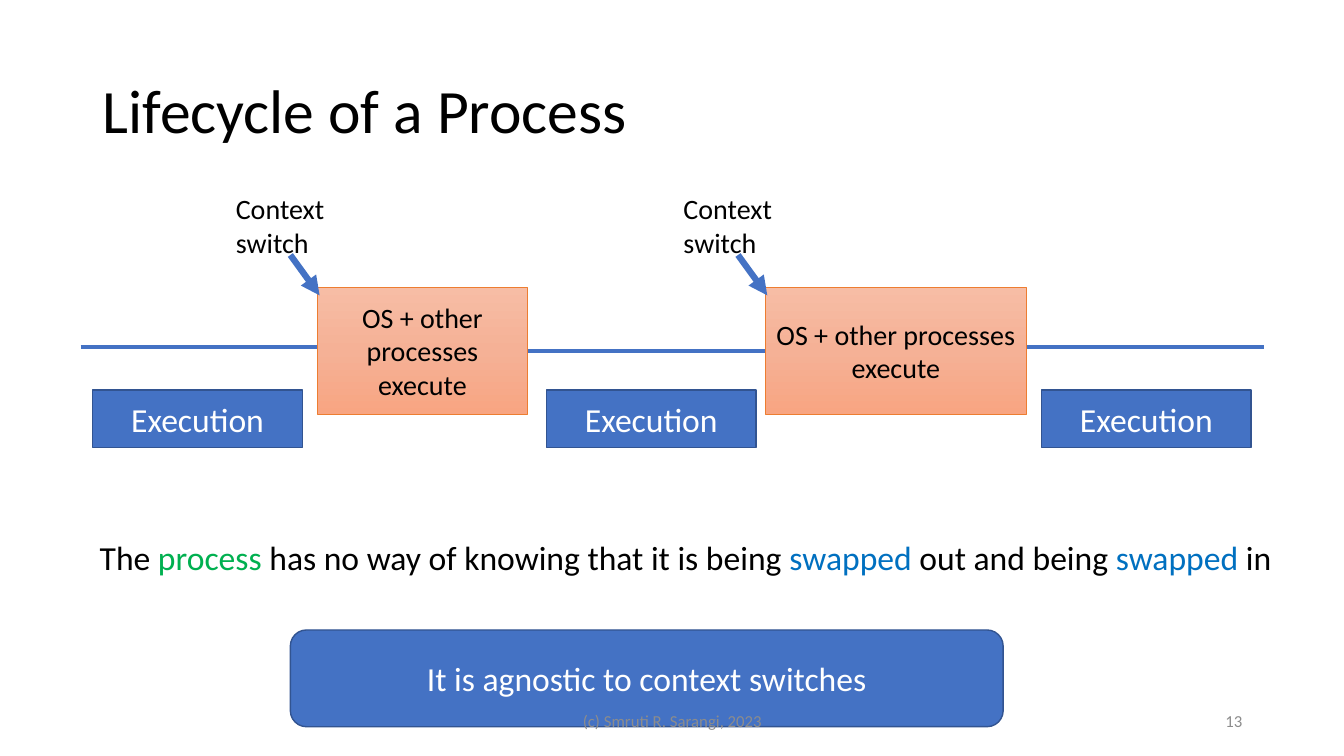
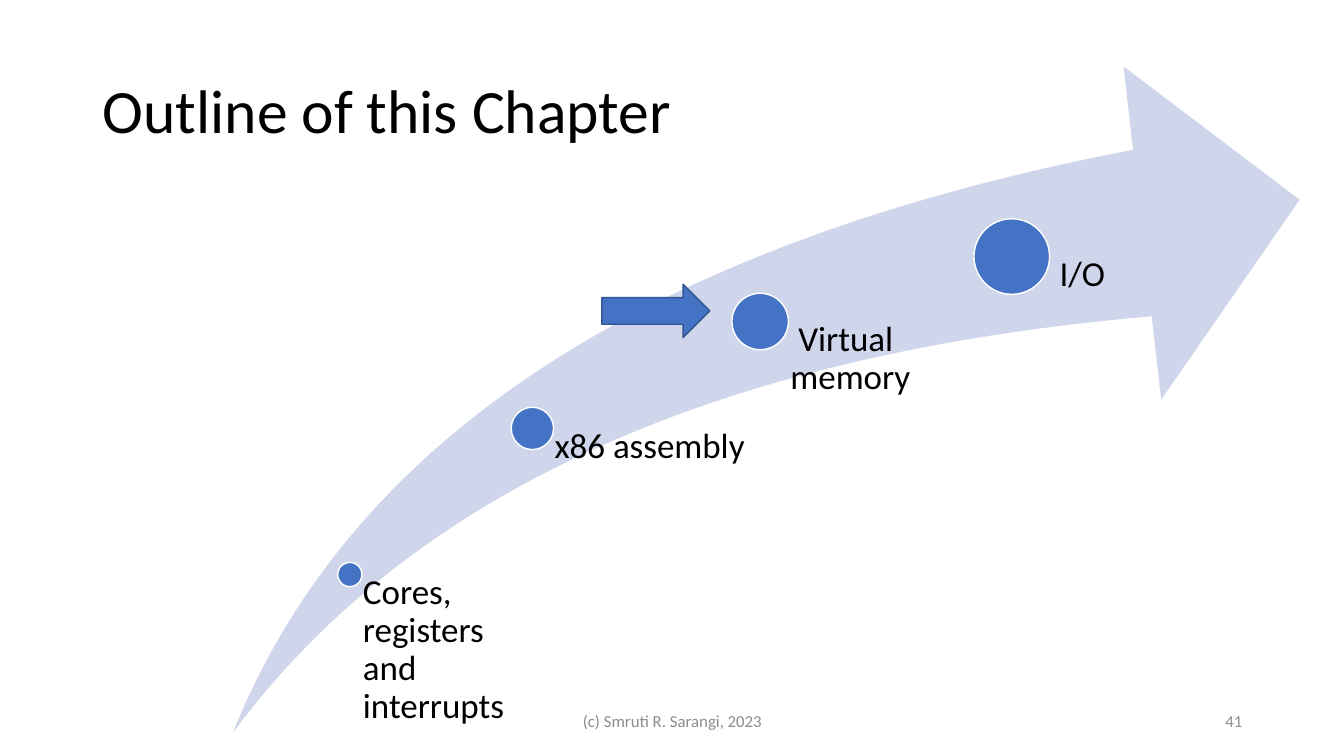
from copy import deepcopy
from dataclasses import dataclass

from lxml import etree
from pptx import Presentation
from pptx.dml.color import RGBColor
from pptx.enum.shapes import MSO_CONNECTOR, MSO_SHAPE
from pptx.enum.text import MSO_ANCHOR, MSO_AUTO_SIZE, PP_ALIGN
from pptx.oxml.ns import qn
from pptx.util import Pt

PX = 9144
TITLE_ONLY = 5
LEFT, CENTER, RIGHT = PP_ALIGN.LEFT, PP_ALIGN.CENTER, PP_ALIGN.RIGHT
TOP, MIDDLE = MSO_ANCHOR.TOP, MSO_ANCHOR.MIDDLE
NO_FIT, GROW = MSO_AUTO_SIZE.NONE, MSO_AUTO_SIZE.SHAPE_TO_FIT_TEXT
STRAIGHT = MSO_CONNECTOR.STRAIGHT
RECTANGLE, ROUNDED = MSO_SHAPE.RECTANGLE, MSO_SHAPE.ROUNDED_RECTANGLE
OVAL, RIGHT_ARROW = MSO_SHAPE.OVAL, MSO_SHAPE.RIGHT_ARROW
SWOOSH = MSO_SHAPE.SWOOSH_ARROW


@dataclass(frozen=True)
class Theme:
    """Colours, font and type sizes of the deck."""
    font: str = "Calibri"
    ink: str = "000000"
    white: str = "FFFFFF"
    blue: str = "4472C4"
    blue_edge: str = "325491"
    orange_edge: str = "ED7D31"
    orange_stops: tuple = ((0, "F7BDA5"), (0.5, "F5B196"), (1, "F8A582"))
    swoosh: str = "CFD5EA"
    green: str = "00B050"
    sky: str = "0070C0"
    grey: str = "8C8C8C"
    title: int = 44
    milestone: int = 25
    body: int = 24
    label: int = 20
    footer: int = 12


class Deck:
    """Holds the theme and the slide that is being drawn."""

    def __init__(self, theme):
        self.theme = theme
        self.presentation = Presentation()
        self.presentation.slide_width = 1333 * PX
        self.presentation.slide_height = 750 * PX
        self.slide = None

    def start_slide(self, title):
        """Adds a slide and fills its title."""
        layout = self.presentation.slide_layouts[TITLE_ONLY]
        self.slide = self.presentation.slides.add_slide(layout)
        shape = self.slide.shapes.title
        shape.left, shape.top, shape.width, shape.height = (
            value * PX for value in (92, 40, 1150, 145))
        self.fill_text(shape, [title], self.theme.title, anchor=MIDDLE, spacing=0.9)

    def fill_text(self, shape, paragraphs, size, color=None, align=LEFT, anchor=TOP,
                  spacing=None, wrap=True, fit=NO_FIT):
        """Fills in paragraphs, each a string or a list of (text, colour) runs."""
        color = color or self.theme.ink
        frame = shape.text_frame
        frame.word_wrap, frame.auto_size = wrap, fit
        frame.vertical_anchor = anchor
        for index, content in enumerate(paragraphs):
            paragraph = frame.add_paragraph() if index else frame.paragraphs[0]
            paragraph.alignment = align
            if spacing:
                paragraph.line_spacing = spacing
            runs = [(content, color)] if isinstance(content, str) else content
            for text, run_color in runs:
                run = paragraph.add_run()
                run.text = text
                run.font.name, run.font.size = self.theme.font, Pt(size)
                run.font.color.rgb = RGBColor.from_string(run_color)

    def text(self, box, paragraphs, size, inset=None, **style):
        """Adds a text box, with a left inset only if one is given."""
        shape = self.slide.shapes.add_textbox(*(value * PX for value in box))
        if inset is not None:
            frame = shape.text_frame
            frame.margin_left = inset * PX
            frame.margin_top = frame.margin_right = frame.margin_bottom = 0
        self.fill_text(shape, paragraphs, size, **style)

    def shape(self, kind, box, fill, edge=None, edge_width=1):
        """Adds a preset shape with a plain fill, or a gradient from stops."""
        shape = self.slide.shapes.add_shape(kind, *(value * PX for value in box))
        shape.shadow.inherit = False
        if isinstance(fill, str):
            shape.fill.solid()
            shape.fill.fore_color.rgb = RGBColor.from_string(fill)
        else:
            self.shade(shape, fill)
        if edge:
            shape.line.color.rgb = RGBColor.from_string(edge)
            shape.line.width = Pt(edge_width)
        else:
            shape.line.fill.background()
        return shape

    def shade(self, shape, stops):
        """Fills a shape with a gradient running downwards."""
        shape.fill.gradient()
        shape.fill.gradient_angle = 270
        stop_list = next(shape.element.iter(qn("a:gsLst")))
        for _ in range(len(stops) - len(stop_list)):
            stop_list.append(deepcopy(stop_list[0]))
        for stop, (position, color) in zip(shape.fill.gradient_stops, stops):
            stop.position = position
            stop.color.rgb = RGBColor.from_string(color)

    def blue_box(self, kind, box, text):
        """Adds a blue box with white centred text."""
        shape = self.shape(kind, box, self.theme.blue, self.theme.blue_edge)
        self.fill_text(shape, [text], self.theme.body, self.theme.white, CENTER, MIDDLE)

    def line(self, start, end, width, arrow=False):
        """Adds a straight blue line, with an arrowhead at its end if asked."""
        connector = self.slide.shapes.add_connector(
            STRAIGHT, *(value * PX for value in (*start, *end)))
        connector.line.color.rgb = RGBColor.from_string(self.theme.blue)
        connector.line.width = Pt(width)
        properties = connector.element.spPr
        if arrow:
            etree.SubElement(properties.find(qn("a:ln")), qn("a:tailEnd"), type="triangle")
        etree.SubElement(properties, qn("a:effectLst"))

    def footer(self, number):
        """Adds the copyright line and the slide number."""
        style = {"color": self.theme.grey, "anchor": MIDDLE}
        size = self.theme.footer
        self.text((442, 695, 450, 40), ["(c) Smruti R. Sarangi, 2023"], size,
                  align=CENTER, **style)
        self.text((942, 695, 300, 40), [str(number)], size, align=RIGHT, **style)


def lifecycle_slide(deck):
    """Draws the timeline of a process and its context switches."""
    theme = deck.theme
    deck.start_slide("Lifecycle of a Process")
    for start, end, y, box_left in ((80, 315, 344, 92), (524, 759, 348, 542),
                                    (1018, 1254, 344, 1033)):
        deck.line((start, y), (end, y), 3)
        deck.blue_box(RECTANGLE, (box_left, 387, 208, 57), "Execution")
    for left, width in ((315, 208), (759, 259)):
        deck.text((left - 91, 185, 109, 77), ["Context", "switch"], theme.label,
                  wrap=False, fit=GROW)
        system = deck.shape(RECTANGLE, (left, 285, width, 126), theme.orange_stops,
                            theme.orange_edge, 0.5)
        deck.fill_text(system, ["OS + other processes execute"], theme.label,
                       align=CENTER, anchor=MIDDLE)
        deck.line((left - 27, 253), (left + 2, 293), 4.5, arrow=True)
    sentence = [("The ", theme.ink), ("process", theme.green),
                (" has no way of knowing that it is being ", theme.ink),
                ("swapped", theme.sky), (" out and being ", theme.ink),
                ("swapped", theme.sky), (" in", theme.ink)]
    deck.text((89, 528, 1193, 50), [sentence], theme.body, wrap=False, fit=GROW)
    deck.blue_box(ROUNDED, (288, 625, 707, 96), "It is agnostic to context switches")
    deck.footer(13)


def outline_slide(deck):
    """Draws the chapter outline along a rising arrow."""
    theme = deck.theme
    deck.start_slide("Outline of this Chapter")
    swoosh = deck.shape(SWOOSH, (231, 66, 1058, 661), theme.swoosh)
    swoosh.adjustments[0] = swoosh.adjustments[1] = 0.25
    text_bottom = 728
    milestones = ((347, 570, 24, 181, "Cores, registers and interrupts"),
                  (528, 425, 42, 222, "x86 assembly"),
                  (754, 319, 56, 222, " Virtual memory"),
                  (1003, 254, 75, 222, " I/O"))
    for x, y, diameter, width, topic in milestones:
        radius = diameter // 2
        deck.shape(OVAL, (x - radius, y - radius, diameter, diameter),
                   theme.blue, theme.white)
        deck.text((x, y, width, text_bottom - y), [topic], theme.milestone,
                  inset=round(diameter * 0.53), spacing=0.9)
    deck.shape(RIGHT_ARROW, (597, 282, 107, 53), theme.blue, theme.blue_edge)
    deck.footer(41)


def main():
    """Builds and saves the deck."""
    deck = Deck(Theme())
    lifecycle_slide(deck)
    outline_slide(deck)
    deck.presentation.save("out.pptx")


if __name__ == "__main__":
    main()
